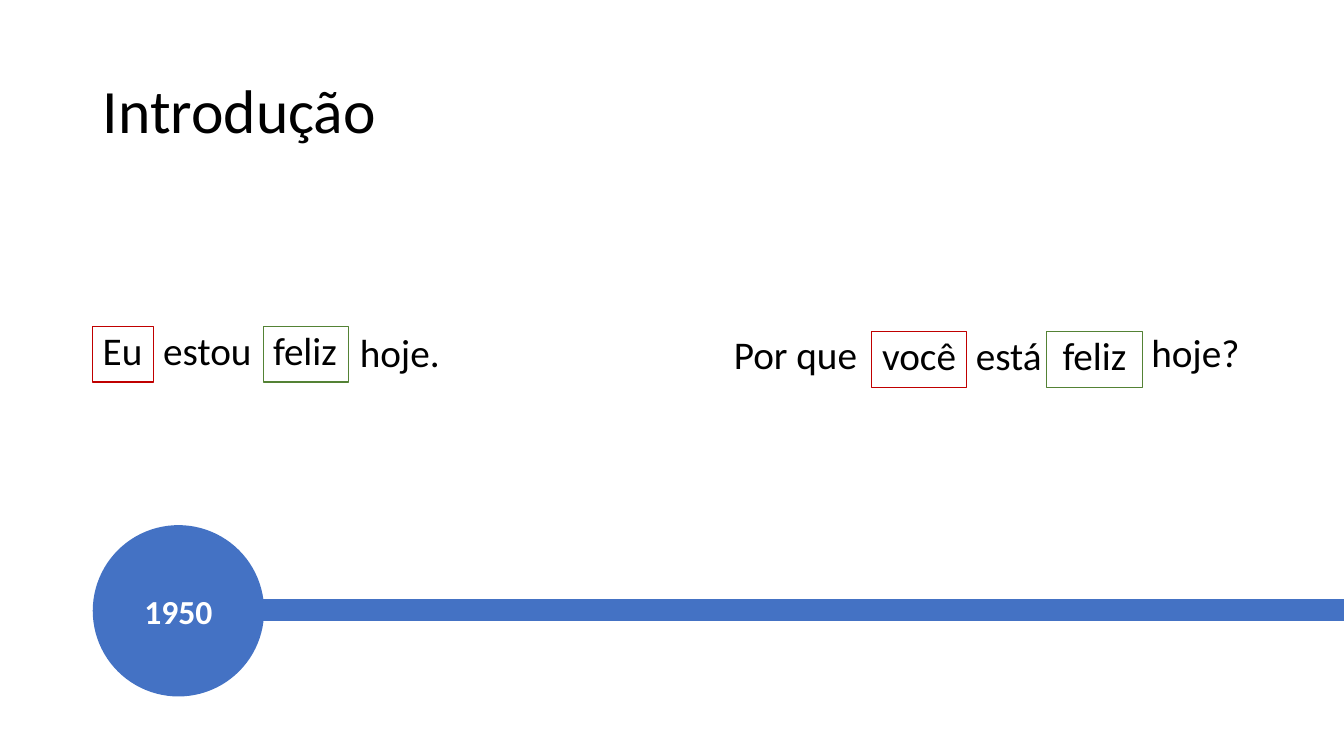
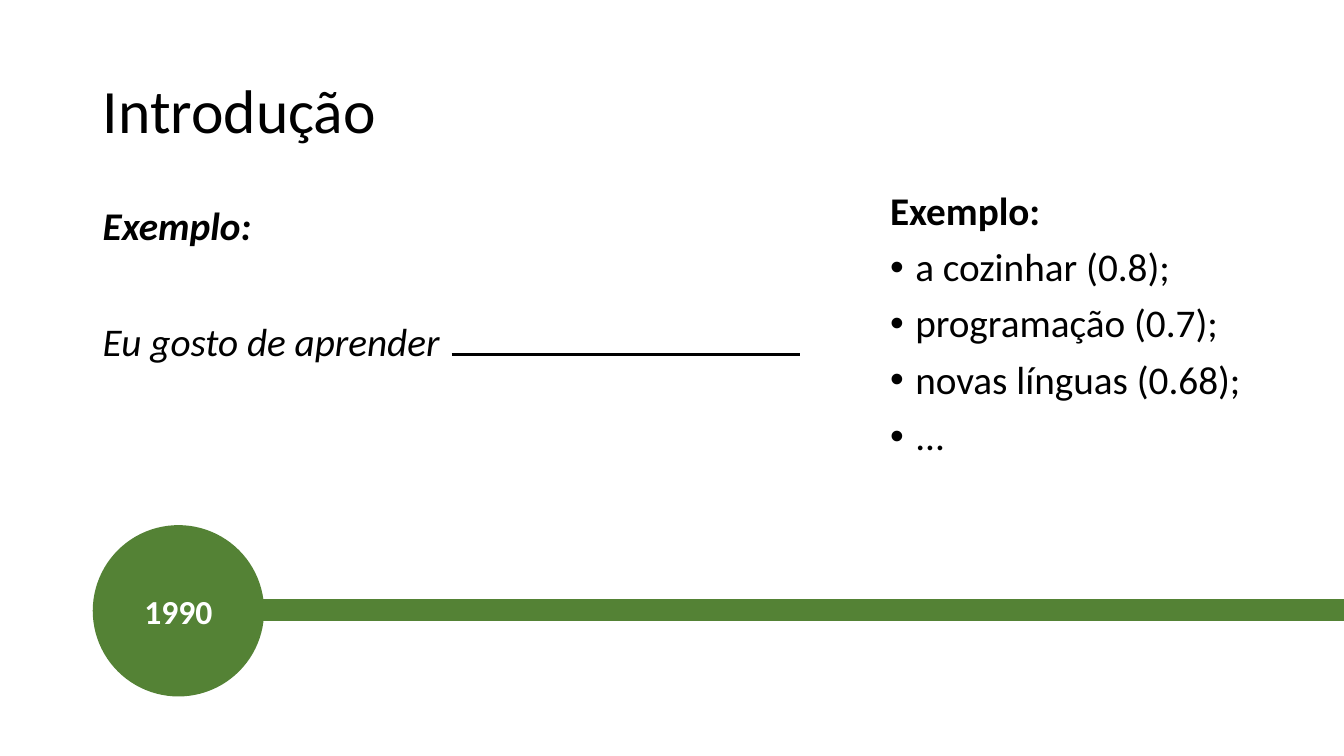
from dataclasses import dataclass

from lxml.etree import SubElement
from pptx import Presentation
from pptx.dml.color import RGBColor
from pptx.enum.shapes import MSO_CONNECTOR, MSO_SHAPE
from pptx.enum.text import MSO_ANCHOR, PP_ALIGN
from pptx.oxml.ns import qn
from pptx.slide import Slide
from pptx.text.text import TextFrame
from pptx.util import Emu, Pt

# Shared style: 100 px make one inch
EMU_PER_PX = 9144
SLIDE_W, SLIDE_H = 1333, 750
MARGIN = 92
FONT = "Calibri"
BLACK = RGBColor(0x00, 0x00, 0x00)
WHITE = RGBColor(0xFF, 0xFF, 0xFF)
BLUE = RGBColor(0x44, 0x72, 0xC4)
GREEN = RGBColor(0x54, 0x82, 0x35)
RED = RGBColor(0xC0, 0x00, 0x00)
TITLE_SIZE, BODY_SIZE, YEAR_SIZE = 44, 28, 24
TITLE_LAYOUT = 5
WORD_H = 55
BULLET_INDENT = 25


@dataclass(frozen=True)
class Box:
    left: int
    top: int
    width: int
    height: int

    def emu(self) -> tuple[Emu, Emu, Emu, Emu]:
        return px(self.left), px(self.top), px(self.width), px(self.height)


@dataclass(frozen=True)
class Line:
    text: str
    size: int = BODY_SIZE
    color: RGBColor = BLACK
    bold: bool = False
    italic: bool = False
    bullet: bool = False
    align: PP_ALIGN = PP_ALIGN.LEFT
    spacing: float = 0.9
    before: int = 10


@dataclass(frozen=True)
class Word:
    text: str
    left: int
    top: int
    width: int
    frame: RGBColor | None = None
    align: PP_ALIGN = PP_ALIGN.LEFT


def px(length: int) -> Emu:
    return Emu(length * EMU_PER_PX)


# Text
def write(frame: TextFrame, lines: list[Line], anchor: MSO_ANCHOR = MSO_ANCHOR.TOP) -> None:
    frame.word_wrap = True
    frame.vertical_anchor = anchor
    for index, line in enumerate(lines):
        paragraph = frame.add_paragraph() if index else frame.paragraphs[0]
        paragraph.alignment = line.align
        paragraph.line_spacing = line.spacing
        paragraph.space_before = Pt(line.before)
        if line.bullet:
            properties = paragraph._p.get_or_add_pPr()
            properties.set("marL", str(px(BULLET_INDENT)))
            properties.set("indent", str(-px(BULLET_INDENT)))
            SubElement(properties, qn("a:buFont"), typeface="Arial")
            SubElement(properties, qn("a:buChar"), char="•")
        run = paragraph.add_run()
        run.text = line.text
        font = run.font
        font.name, font.size = FONT, Pt(line.size)
        font.bold, font.italic = line.bold, line.italic
        font.color.rgb = line.color


def add_text(slide: Slide, box: Box, lines: list[Line]) -> None:
    write(slide.shapes.add_textbox(*box.emu()).text_frame, lines)


def add_word(slide: Slide, word: Word) -> None:
    box = Box(word.left, word.top, word.width, WORD_H)
    line = Line(word.text, align=word.align)
    if word.frame is None:
        add_text(slide, box, [line])
        return
    framed = slide.shapes.add_shape(MSO_SHAPE.RECTANGLE, *box.emu())
    framed.shadow.inherit = False
    framed.fill.background()
    framed.line.color.rgb = word.frame
    framed.line.width = Pt(0.75)
    write(framed.text_frame, [line])


# Lines and timeline
def add_rule(slide: Slide, left: int, right: int, y: int, color: RGBColor, weight: float) -> None:
    rule = slide.shapes.add_connector(
        MSO_CONNECTOR.STRAIGHT, px(left), px(y), px(right), px(y))
    rule.line.color.rgb = color
    rule.line.width = Pt(weight)
    SubElement(rule._element.spPr, qn("a:effectLst"))


def add_timeline(slide: Slide, year: str, color: RGBColor) -> None:
    circle = slide.shapes.add_shape(MSO_SHAPE.OVAL, *Box(MARGIN, 521, 170, 170).emu())
    circle.shadow.inherit = False
    circle.fill.solid()
    circle.fill.fore_color.rgb = color
    circle.line.fill.background()
    label = Line(year, YEAR_SIZE, WHITE, bold=True, align=PP_ALIGN.CENTER, spacing=1.0, before=0)
    write(circle.text_frame, [label], MSO_ANCHOR.MIDDLE)
    add_rule(slide, 229, SLIDE_W, 605, color, 16)


def add_era_slide(deck: Presentation, year: str, color: RGBColor) -> Slide:
    slide = deck.slides.add_slide(deck.slide_layouts[TITLE_LAYOUT])
    title = slide.shapes.title
    title.left, title.top, title.width, title.height = Box(MARGIN, 40, 1150, 145).emu()
    write(title.text_frame, [Line("Introdução", TITLE_SIZE, before=0)], MSO_ANCHOR.MIDDLE)
    add_timeline(slide, year, color)
    return slide


# Slide content
WORDS = [
    Word("Eu", MARGIN, 324, 60, RED),
    Word("estou", 152, 324, 109),
    Word("feliz", 261, 324, 85, GREEN),
    Word("hoje.", 347, 326, 109),
    Word("Por que", 718, 328, 145),
    Word("você", 864, 329, 95, RED, PP_ALIGN.CENTER),
    Word("está", 958, 329, 95),
    Word("feliz", 1038, 329, 95, GREEN, PP_ALIGN.CENTER),
    Word("hoje?", 1132, 326, 109),
]
PREDICTIONS = ["a cozinhar (0.8);", "programação (0.7);", "novas línguas (0.68);", "..."]


def main() -> None:
    deck = Presentation()
    deck.slide_width, deck.slide_height = px(SLIDE_W), px(SLIDE_H)

    # 1950: sentences with marked words
    sentences = add_era_slide(deck, "1950", BLUE)
    for word in WORDS:
        add_word(sentences, word)

    # 1990: sentence to complete and its likely endings
    completion = add_era_slide(deck, "1990", GREEN)
    add_text(completion, Box(MARGIN, 200, 691, 60), [Line("Exemplo:", bold=True, italic=True)])
    add_text(completion, Box(MARGIN, 315, 356, 60), [Line("Eu gosto de aprender", italic=True)])
    add_rule(completion, 448, 793, 352, BLACK, 2.25)
    endings = [Line(text, bullet=True) for text in PREDICTIONS]
    add_text(completion, Box(873, 185, 384, 383), [Line("Exemplo:", bold=True), *endings])

    deck.save("out.pptx")


if __name__ == "__main__":
    main()
